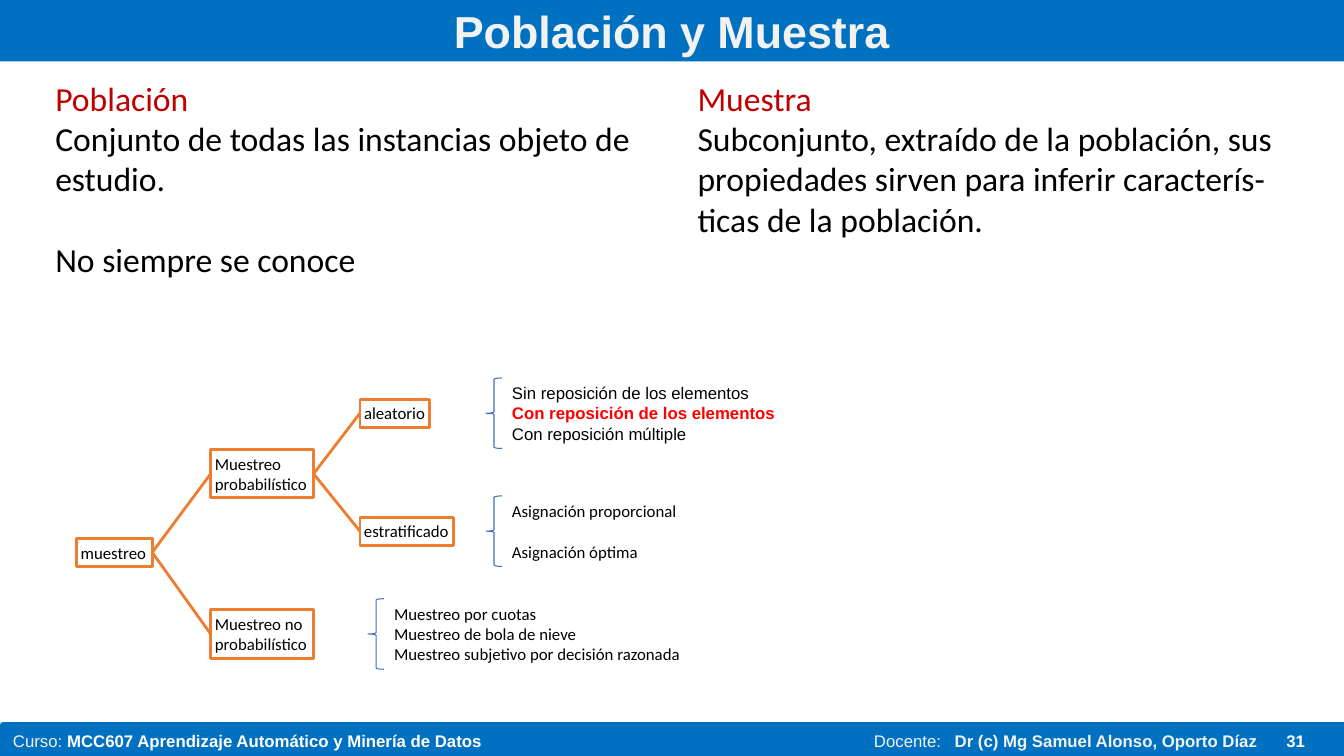
from lxml import etree
from pptx import Presentation
from pptx.dml.color import RGBColor
from pptx.enum.shapes import MSO_CONNECTOR, MSO_SHAPE
from pptx.enum.text import MSO_ANCHOR, MSO_AUTO_SIZE, PP_ALIGN
from pptx.oxml.ns import qn
from pptx.util import Inches, Pt

STRAIGHT = MSO_CONNECTOR.STRAIGHT
RECTANGLE, LEFT_BRACE = MSO_SHAPE.RECTANGLE, MSO_SHAPE.LEFT_BRACE
LEFT, CENTER = PP_ALIGN.LEFT, PP_ALIGN.CENTER
TOP, MIDDLE = MSO_ANCHOR.TOP, MSO_ANCHOR.MIDDLE
RIGHT_SIDE, LEFT_SIDE = 3, 1

COLORS = {"blue": "0070C0", "pale": "F2F2F2", "white": "FFFFFF", "black": "000000",
          "dark red": "C00000", "red": "FF0000", "orange": "ED7D31", "brace": "3F6FC3"}


def color(name):
    return RGBColor.from_string(COLORS[name])


def write(shape, paras, size, font, align=LEFT, anchor=TOP, wrap=True):
    """Fill a shape; each paragraph is a list of (text, color, bold) spans."""
    frame = shape.text_frame
    frame.word_wrap = wrap
    frame.auto_size = MSO_AUTO_SIZE.NONE
    frame.vertical_anchor = anchor
    for index, spans in enumerate(paras):
        para = frame.paragraphs[0] if index == 0 else frame.add_paragraph()
        para.alignment = align
        for text, shade, bold in spans:
            span = para.add_run()
            span.text = text
            span.font.size = Pt(size)
            span.font.name = font
            span.font.bold = bold
            span.font.color.rgb = color(shade)
    return frame


deck = Presentation()
deck.slide_width, deck.slide_height = Inches(13.33), Inches(7.5)
page = deck.slides.add_slide(deck.slide_layouts[5])
shapes = page.shapes

# Title band
title = shapes.title
title.left, title.top, title.width, title.height = 0, 0, Inches(13.33), Inches(0.61)
title.fill.solid()
title.fill.fore_color.rgb = color("blue")
write(title, [[("Población y Muestra", "pale", True)]], 32, "Arial", CENTER, MIDDLE)

# Footer bar and its texts
bar = shapes.add_shape(RECTANGLE, Inches(0.03), Inches(7.19), Inches(13.31), Inches(0.31))
bar.shadow.inherit = False
bar.fill.solid()
bar.fill.fore_color.rgb = color("blue")
bar.line.color.rgb = color("blue")
bar.line.width = Pt(4.5)
write(bar, [[("Curso: ", "pale", False),
             ("MCC607 Aprendizaje Automático y Minería de Datos", "white", True)]],
      12, "Arial", anchor=MIDDLE)
for left, width, text, shade, bold in [
        (8.57, 1, "Docente:", "pale", False),
        (9.37, 3.25, "Dr (c) Mg Samuel Alonso, Oporto Díaz", "pale", True),
        (12.66, 0.5, "31", "white", True)]:
    box = shapes.add_textbox(Inches(left), Inches(7.19), Inches(width), Inches(0.31))
    write(box, [[(text, shade, bold)]], 12, "Arial", anchor=MIDDLE)

# Definition columns
for left, heading, lines in [
        (0.45, "Población", ["Conjunto de todas las instancias objeto de estudio.",
                             "No siempre se conoce"]),
        (6.82, "Muestra", ["Subconjunto, extraído de la población, sus propiedades "
                           "sirven para inferir caracterís-ticas de la población."])]:
    box = shapes.add_textbox(Inches(left), Inches(0.72), Inches(6.06), Inches(2.3))
    paras = [[(heading, "dark red", False)]] + [[(line, "black", False)] for line in lines]
    frame = write(box, paras, 24, "Calibri")
    for para in frame.paragraphs[2:]:
        para.space_before = Pt(29)

# Sampling tree boxes
nodes = {}
for text, left, top, width, height in [
        ("muestreo", 0.76, 5.34, 0.75, 0.28),
        ("aleatorio", 3.57, 3.96, 0.69, 0.28),
        ("estratificado", 3.57, 5.13, 0.93, 0.28),
        ("Muestreo probabilístico", 2.09, 4.46, 1.02, 0.48),
        ("Muestreo no probabilístico", 2.09, 6.05, 1.02, 0.48)]:
    node = shapes.add_shape(RECTANGLE, Inches(left), Inches(top), Inches(width), Inches(height))
    node.shadow.inherit = False
    node.fill.solid()
    node.fill.fore_color.rgb = color("white")
    node.line.color.rgb = color("orange")
    node.line.width = Pt(2)
    frame = write(node, [[(text, "black", False)]], 12, "Calibri", wrap=" " in text)
    frame.margin_left = frame.margin_right = Inches(0.04)
    frame.margin_top = frame.margin_bottom = Inches(0.04)
    nodes[text] = node

# Tree branches
for parent, child in [("muestreo", "Muestreo no probabilístico"),
                      ("muestreo", "Muestreo probabilístico"),
                      ("Muestreo probabilístico", "estratificado"),
                      ("Muestreo probabilístico", "aleatorio")]:
    branch = shapes.add_connector(STRAIGHT, 0, 0, 0, 0)
    branch.begin_connect(nodes[parent], RIGHT_SIDE)
    branch.end_connect(nodes[child], LEFT_SIDE)
    branch.line.color.rgb = color("orange")
    branch.line.width = Pt(2)
    etree.SubElement(branch.element.spPr, qn("a:effectLst"))

# Braces with the kinds of each sampling
for left, top, width, font, gap, lines in [
        (4.98, 3.75, 2.84, "Arial", 0, [("Sin reposición de los elementos", "black", False),
                                        ("Con reposición de los elementos", "red", True),
                                        ("Con reposición múltiple", "black", False)]),
        (4.98, 4.92, 2.5, "Calibri", 14.5, [("Asignación proporcional", "black", False),
                                            ("Asignación óptima", "black", False)]),
        (3.81, 5.94, 3.59, "Calibri", 0, [
            ("Muestreo por cuotas", "black", False),
            ("Muestreo de bola de nieve", "black", False),
            ("Muestreo subjetivo por decisión razonada", "black", False)])]:
    brace = shapes.add_shape(LEFT_BRACE, Inches(left - 0.16), Inches(top), Inches(0.16), Inches(0.7))
    brace.shadow.inherit = False
    brace.fill.background()
    brace.line.color.rgb = color("brace")
    brace.line.width = Pt(0.75)
    box = shapes.add_textbox(Inches(left), Inches(top), Inches(width), Inches(0.71))
    frame = write(box, [[line] for line in lines], 12, font)
    for para in frame.paragraphs[1:]:
        para.space_before = Pt(gap)

deck.save("out.pptx")
